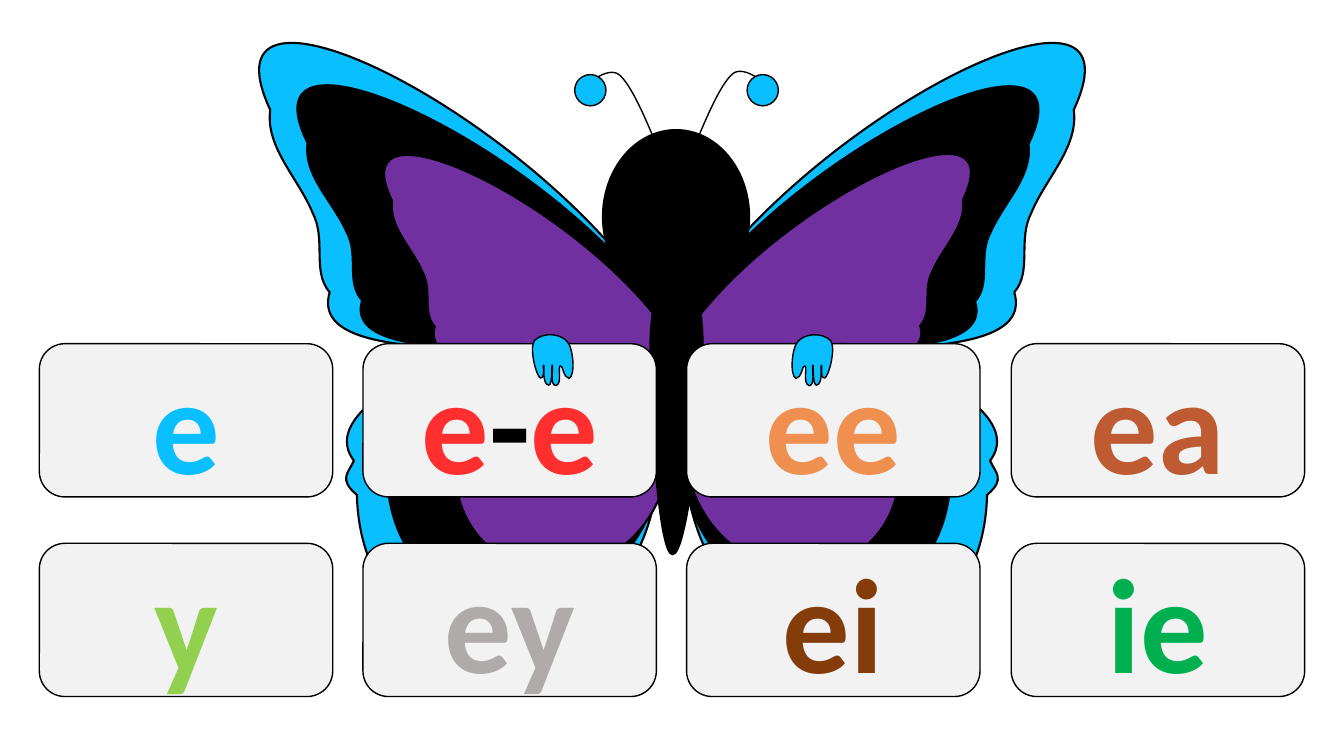
from lxml.etree import SubElement
from pptx import Presentation
from pptx.dml.color import RGBColor
from pptx.enum.shapes import MSO_SHAPE
from pptx.enum.text import MSO_ANCHOR, PP_ALIGN
from pptx.oxml.ns import qn
from pptx.util import Pt

PX = 9144

BLACK = RGBColor(0x00, 0x00, 0x00)
SKY = RGBColor(0x09, 0xBF, 0xFF)
PURPLE = RGBColor(0x70, 0x30, 0xA0)
CARD_GREY = RGBColor(0xF2, 0xF2, 0xF2)
RED = RGBColor(0xFF, 0x2F, 0x2F)
ORANGE = RGBColor(0xF0, 0x90, 0x50)
RUST = RGBColor(0xBE, 0x5B, 0x33)
LIME = RGBColor(0x92, 0xD0, 0x50)
SILVER = RGBColor(0xAF, 0xAB, 0xAB)
BROWN = RGBColor(0x84, 0x3C, 0x0B)
GREEN = RGBColor(0x00, 0xB0, 0x50)

WING_BOX = (257, 43, 401, 598)
WING = [
    (268, 109),
    (191, -57), (538, 117), (658, 313),
    (658, 313), (655, 448), (655, 448),
    (647, 694), (359, 700), (354, 491),
    (335, 475), (346, 469), (351, 457),
    (310, 403), (464, 351), (448, 346),
    (391, 342), (313, 337), (327, 290),
    (309, 269), (324, 238), (310, 211),
    (296, 177), (263, 146), (268, 109),
]
BODY_BOX = (645, 254, 52, 296)
BODY = [
    (645, 347),
    (645, 298), (657, 254), (671, 254),
    (685, 254), (697, 296), (697, 347),
    (697, 399), (682, 550), (667, 550),
    (653, 550), (644, 397), (645, 347),
]
ANTENNA_BOX = (580, 72, 70, 69)
ANTENNA = [
    (650, 141),
    (638, 112), (625, 83), (614, 74),
    (602, 65), (580, 86), (580, 86),
]
HAND_BOX = (523, 333, 50, 46)
HAND = [
    (570, 369),
    (575, 364), (564, 339), (556, 335),
    (548, 330), (531, 333), (525, 345),
    (523, 355), (539, 378), (543, 378),
    (548, 376), (540, 364), (542, 365),
    (543, 365), (546, 383), (553, 382),
    (557, 380), (548, 360), (550, 362),
    (552, 365), (554, 382), (560, 380),
    (566, 376), (554, 360), (558, 360),
    (560, 359), (564, 370), (570, 369),
]

deck = Presentation()
deck.slide_width = 1333 * PX
deck.slide_height = 750 * PX
page = deck.slides.add_slide(deck.slide_layouts[6])


def paint(shape, fill, weight):
    shape.shadow.inherit = False
    if fill is None:
        shape.fill.background()
    else:
        shape.fill.solid()
        shape.fill.fore_color.rgb = fill
    shape.line.color.rgb = BLACK
    shape.line.width = Pt(weight)


def add_outline(curve, base, target, fill, weight, mirrored=False):
    left, top, width, height = [side * PX for side in target]
    builder = page.shapes.build_freeform(left, top)
    builder.add_line_segments([(left + width, top), (left + width, top + height)])
    shape = builder.convert_to_shape()
    outline = next(shape.element.iter(qn("a:path")))
    for child in list(outline):
        outline.remove(child)
    for index, (x, y) in enumerate(curve):
        if index == 0:
            command = SubElement(outline, qn("a:moveTo"))
        elif index % 3 == 1:
            command = SubElement(outline, qn("a:cubicBezTo"))
        across = (x - base[0]) / base[2]
        if mirrored:
            across = 1 - across
        down = (y - base[1]) / base[3]
        SubElement(command, qn("a:pt"), x=str(round(across * width)), y=str(round(down * height)))
    if curve[0] == curve[-1]:
        SubElement(outline, qn("a:close"))
    paint(shape, fill, weight)
    return shape


wings = [
    ((257, 43, 401, 598), SKY, False),
    ((675, 43, 401, 598), SKY, True),
    ((670, 86, 360, 516), BLACK, True),
    ((295, 85, 368, 516), BLACK, False),
    ((675, 153, 288, 412), PURPLE, True),
    ((381, 154, 288, 412), PURPLE, False),
]
for target, color, mirrored in wings:
    add_outline(WING, WING_BOX, target, color, 1.5, mirrored)

add_outline(BODY, BODY_BOX, BODY_BOX, BLACK, 1.5)
head = page.shapes.add_shape(MSO_SHAPE.OVAL, 598 * PX, 129 * PX, 145 * PX, 172 * PX)
paint(head, BLACK, 1.5)

for antenna_left, antenna_top, tip_left, mirrored in [(691, 71, 741, True), (580, 72, 570, False)]:
    add_outline(ANTENNA, ANTENNA_BOX, (antenna_left, antenna_top, 70, 69), None, 1, mirrored)
    tip = page.shapes.add_shape(MSO_SHAPE.OVAL, tip_left * PX, 74 * PX, 31 * PX, 31 * PX)
    paint(tip, SKY, 1)

card_rows = [
    [[("e", SKY)], [("e", RED), ("-", BLACK), ("e", RED)], [("ee", ORANGE)], [("ea", RUST)]],
    [[("y", LIME)], [("ey", SILVER)], [("ei", BROWN)], [("ie", GREEN)]],
]
letter_format = {"name": "Calibri", "size": Pt(96), "bold": True}
for row, cards in enumerate(card_rows):
    for column, letters in enumerate(cards):
        card = page.shapes.add_shape(
            MSO_SHAPE.ROUNDED_RECTANGLE,
            (39 + 964 * column // 3) * PX, (341 + 198 * row) * PX, 291 * PX, 152 * PX)
        paint(card, CARD_GREY, 1)
        card.text_frame.vertical_anchor = MSO_ANCHOR.MIDDLE
        para = card.text_frame.paragraphs[0]
        para.alignment = PP_ALIGN.CENTER
        for text, color in letters:
            span = para.add_run()
            span.text = text
            span.font.color.rgb = color
            for name, value in letter_format.items():
                setattr(span.font, name, value)

for hand_left, angle, mirrored in [(781, 340.7, True), (523, 19.3, False)]:
    hand = add_outline(HAND, HAND_BOX, (hand_left, 333, 50, 46), SKY, 1, mirrored)
    hand.rotation = angle

deck.save("out.pptx")
